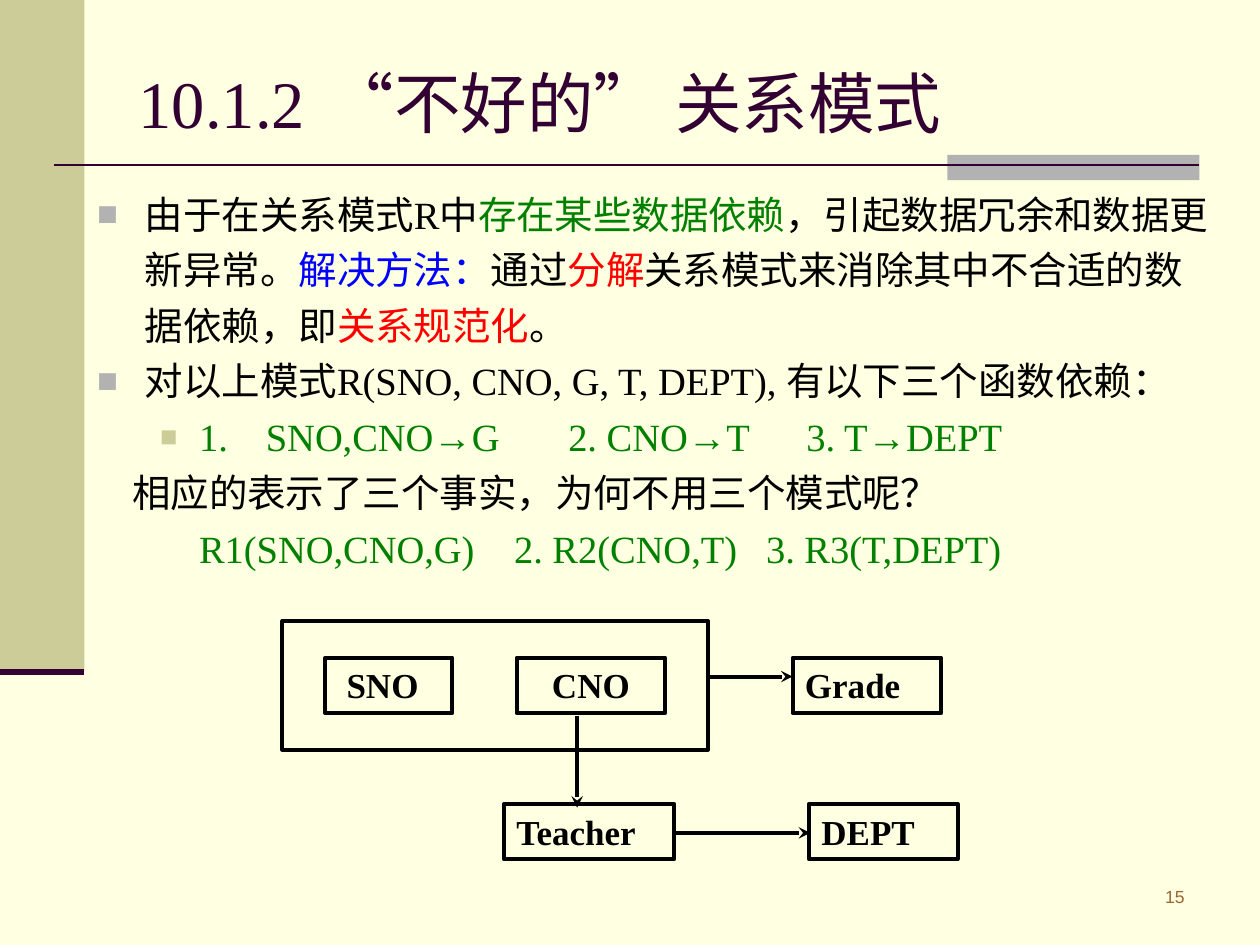
from pptx import Presentation
from pptx.dml.color import RGBColor
from pptx.enum.lang import MSO_LANGUAGE_ID as Language
from pptx.enum.shapes import MSO_CONNECTOR as Connector, MSO_SHAPE as Shape
from pptx.enum.text import MSO_ANCHOR as Anchor, MSO_AUTO_SIZE as AutoSize, PP_ALIGN as Align
from pptx.oxml.ns import qn
from pptx.util import Inches, Pt
from lxml.etree import SubElement

COLORS = {
    "paper": "FFFFE1", "khaki": "CCCC99", "gray": "B2B2B2", "plum": "330033",
    "brown": "996633", "black": "000000", "green": "008000",
    "blue": "0000FF", "red": "FF0000",
}


def rgb(name):
    return RGBColor.from_string(COLORS[name])


class SlideBuilder:
    font = "Times New Roman"

    def __init__(self, slide):
        self.slide = slide
        self.shapes = slide.shapes
        slide.background.fill.solid()
        slide.background.fill.fore_color.rgb = rgb("paper")

    def run(self, paragraph, text, size, color="black", bold=False, font=None):
        run = paragraph.add_run()
        run.text = text
        run.font.name = font or self.font
        run.font.size = Pt(size)
        run.font.bold = bold
        run.font.color.rgb = rgb(color)
        run.font.language_id = Language.SIMPLIFIED_CHINESE

    def box(self, left, top, width, height, fill=None, line=None):
        shape = self.shapes.add_shape(
            Shape.RECTANGLE, Inches(left), Inches(top), Inches(width), Inches(height))
        shape.shadow.inherit = False
        if fill:
            shape.fill.solid()
            shape.fill.fore_color.rgb = rgb(fill)
        else:
            shape.fill.background()
        if line:
            shape.line.color.rgb = rgb(line)
            shape.line.width = Pt(2.25)
        else:
            shape.line.fill.background()
        return shape

    def node(self, text, left, top, width, align=Align.LEFT, inset=0.1):
        frame = self.box(left, top, width, 0.44, line="black").text_frame
        frame.margin_left = Inches(inset)
        frame.vertical_anchor = Anchor.TOP
        paragraph = frame.paragraphs[0]
        paragraph.alignment = align
        self.run(paragraph, text, 20, bold=True)

    def line(self, x1, y1, x2, y2, color="black", width=2.25, arrow=False):
        line = self.shapes.add_connector(
            Connector.STRAIGHT, Inches(x1), Inches(y1), Inches(x2), Inches(y2))
        line.line.color.rgb = rgb(color)
        line.line.width = Pt(width)
        if arrow:
            SubElement(line.line._get_or_add_ln(), qn("a:tailEnd"), type="stealth")
        SubElement(line._element.spPr, qn("a:effectLst"))

    def placeholder(self, index, left, top, width, height, anchor):
        shape = self.slide.placeholders[index]
        shape.left, shape.top = Inches(left), Inches(top)
        shape.width, shape.height = Inches(width), Inches(height)
        self.shapes._spTree.append(shape._element)
        frame = shape.text_frame
        frame.word_wrap = True
        frame.auto_size = AutoSize.NONE
        frame.vertical_anchor = anchor
        return frame

    def layout(self, paragraph, margin=0, indent=0, bullet=None, tabs=()):
        properties = paragraph._p.get_or_add_pPr()
        properties.set("marL", str(Inches(margin)))
        properties.set("indent", str(Inches(indent)))
        if bullet:
            color, percent = bullet
            holder = SubElement(properties, qn("a:buClr"))
            SubElement(holder, qn("a:srgbClr"), val=COLORS[color])
            SubElement(properties, qn("a:buSzPct"), val=str(percent * 1000))
            SubElement(properties, qn("a:buFont"), typeface="Arial")
            SubElement(properties, qn("a:buChar"), char="■")
        else:
            SubElement(properties, qn("a:buNone"))
        if tabs:
            stops = SubElement(properties, qn("a:tabLst"))
            for position in tabs:
                SubElement(stops, qn("a:tab"), pos=str(Inches(position)), algn="l")

    def title(self, text, tabs):
        frame = self.placeholder(0, 1, 0.3, 8.5, 1.01, Anchor.MIDDLE)
        paragraph = frame.paragraphs[0]
        paragraph.alignment = Align.LEFT
        self.layout(paragraph, tabs=tabs)
        self.run(paragraph, text, 38, "plum")

    def body(self, items):
        frame = self.placeholder(1, 0.67, 1.39, 9.06, 5.51, Anchor.TOP)
        for number, (level, spacing, style, runs) in enumerate(items):
            paragraph = frame.add_paragraph() if number else frame.paragraphs[0]
            paragraph.level = level
            paragraph.line_spacing = spacing
            paragraph.space_before = Pt(5.5)
            self.layout(paragraph, **style)
            for text, color in runs:
                self.run(paragraph, text, 22, color)

    def page_number(self, text):
        shape = self.shapes.add_textbox(
            Inches(8.23), Inches(6.98), Inches(1.27), Inches(0.35))
        shape.text_frame.word_wrap = True
        paragraph = shape.text_frame.paragraphs[0]
        paragraph.alignment = Align.RIGHT
        self.run(paragraph, text, 10, "brown", font="Arial")


presentation = Presentation()
presentation.slide_width, presentation.slide_height = Inches(10), Inches(7.5)
builder = SlideBuilder(presentation.slides.add_slide(presentation.slide_layouts[1]))

# Side band and title rule
builder.box(0, 0, 0.67, 5.33, fill="khaki")
builder.box(7.52, 1.23, 2, 0.2, fill="gray")
builder.line(0.43, 1.31, 9.52, 1.31, "plum", 1.5)
builder.line(0, 5.33, 0.67, 5.33, "plum", 3.5)
builder.page_number("15")

# Title and list
builder.title("10.1.2\t“不好的” 关系模式", tabs=[1.71])
main = {"margin": 0.38, "indent": -0.38, "bullet": ("gray", 90)}
builder.body([
    (0, 1.2, main, [
        ("由于在关系模式R中", "black"), ("存在某些数据依赖", "green"),
        ("，引起数据冗余和数据更新异常。", "black"), ("解决方法：", "blue"),
        ("通过", "black"), ("分解", "red"),
        ("关系模式来消除其中不合适的数据依赖，即", "black"),
        ("关系规范化", "red"), ("。", "black")]),
    (0, 1.0, main, [
        ("对以上模式R(SNO, CNO, G, T, DEPT), 有以下三个函数依赖：", "black")]),
    (1, 1.0, {"margin": 0.81, "indent": -0.31, "bullet": ("khaki", 75),
              "tabs": [1.34, 3.74, 5.63]},
     [("1.\tSNO,CNO→G\t2. CNO→T\t3. T→DEPT", "green")]),
    (0, 1.0, {"margin": 0.28},
     [("相应的表示了三个事实，为何不用三个模式呢？", "black")]),
    (1, 1.0, {"margin": 0.81, "tabs": [3.29, 5.29]},
     [("R1(SNO,CNO,G)\t2. R2(CNO,T)\t3. R3(T,DEPT)", "green")]),
])

# Dependency diagram
upper, lower = 5.22, 6.38
builder.box(2.24, 4.93, 3.38, 1.02, line="black")
builder.node("SNO", 2.58, upper, 1.01, inset=0.17)
builder.node("CNO", 4.1, upper, 1.18, Align.CENTER)
builder.node("Grade", 6.29, upper, 1.18)
builder.node("Teacher", 4, lower, 1.35)
builder.node("DEPT", 6.42, lower, 1.18)
for ends in [(4.58, 5.68, 4.58, 6.41), (5.36, 6.61, 6.43, 6.61), (5.62, 5.37, 6.29, 5.37)]:
    builder.line(*ends, arrow=True)

presentation.save("out.pptx")
